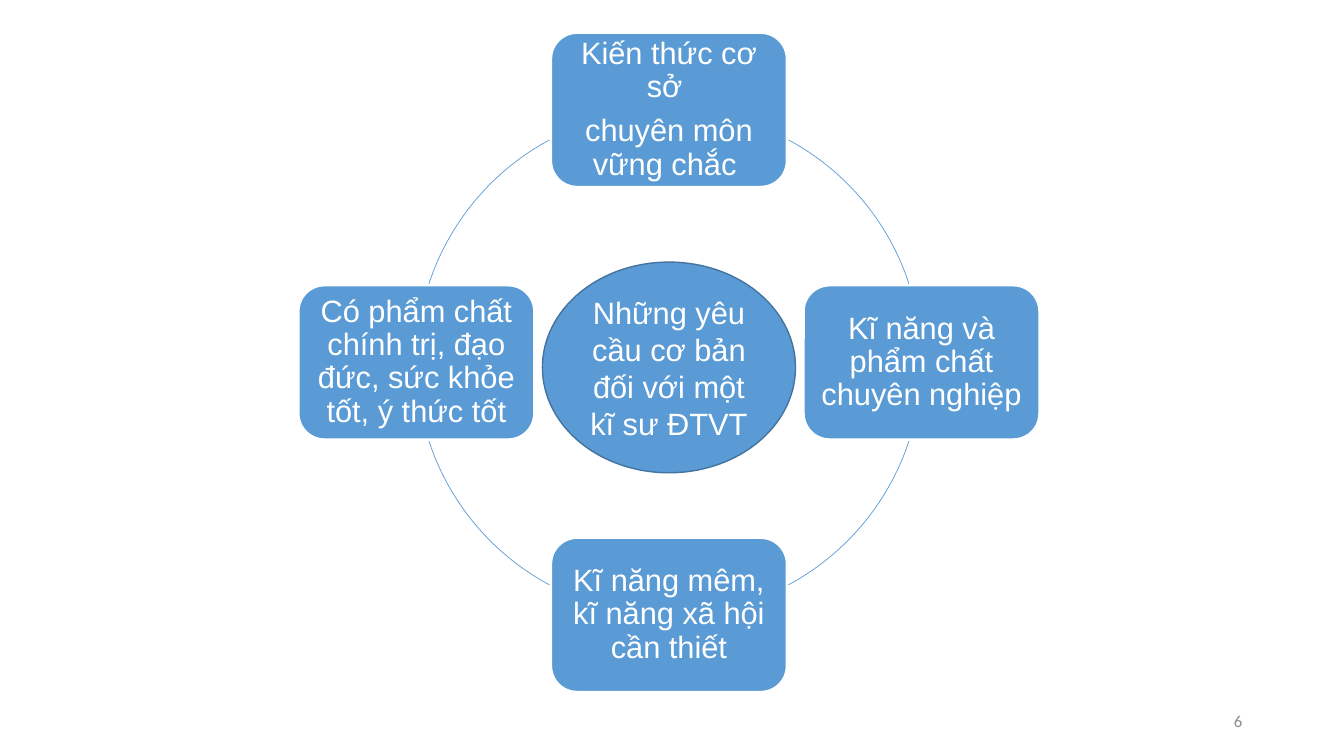
from math import atan2, degrees

from pptx import Presentation
from pptx.dml.color import RGBColor
from pptx.enum.shapes import MSO_SHAPE
from pptx.enum.text import MSO_ANCHOR, PP_ALIGN
from pptx.util import Inches, Pt

SLIDE_W, SLIDE_H = 13.33, 7.5
BLUE, DARK_BLUE, WHITE, GREY = "5B9BD5", "43739E", "FFFFFF", "8C8C8C"
CARD_W, CARD_H = 2.33, 1.52
GAP = 0.02  # between a card's edge and the ring

CORE = "Những yêu cầu cơ bản đối với một kĩ sư ĐTVT"
# Clockwise from the top: direction from the centre, paragraphs
REQUIREMENTS = [
    ((0, -1), ["Kiến thức cơ sở ", "chuyên môn vững chắc "]),
    ((1, 0), ["Kĩ năng và phẩm chất chuyên nghiệp"]),
    ((0, 1), ["Kĩ năng mêm, kĩ năng xã hội cần thiết"]),
    ((-1, 0), ["Có phẩm chất chính trị, đạo đức, sức khỏe tốt, ý thức tốt"]),
]


def color(hex_value):
    return RGBColor.from_string(hex_value)


def write(frame, texts, inset=None, font="Arial", size=22, ink=WHITE, **paragraph_format):
    """Fill a text frame with equally formatted paragraphs."""
    frame.word_wrap = True
    frame.vertical_anchor = MSO_ANCHOR.MIDDLE
    if inset is not None:
        for side in ("left", "right", "top", "bottom"):
            setattr(frame, f"margin_{side}", Inches(inset))
    for index, text in enumerate(texts):
        paragraph = frame.paragraphs[0] if index == 0 else frame.add_paragraph()
        paragraph.text = text
        for name, value in {"alignment": PP_ALIGN.CENTER, **paragraph_format}.items():
            setattr(paragraph, name, value)
        for name, value in {"name": font, "size": Pt(size)}.items():
            setattr(paragraph.font, name, value)
        paragraph.font.color.rgb = color(ink)


def add_centred(slide, preset, center, size, line, weight, fill=None):
    """Place a preset shape around its centre point."""
    (x, y), (w, h) = center, size
    shape = slide.shapes.add_shape(
        preset, Inches(x - w / 2), Inches(y - h / 2), Inches(w), Inches(h))
    shape.shadow.inherit = False
    if fill:
        shape.fill.solid()
        shape.fill.fore_color.rgb = color(fill)
    else:
        shape.fill.background()
    shape.line.color.rgb = color(line)
    shape.line.width = Pt(weight)
    return shape


def add_ring(slide, center, radius):
    """Draw the four arcs that join neighbouring cards."""
    # Where the ring leaves the top card and meets the right card
    x, y = CARD_W / 2 + GAP, radius - CARD_H / 2 - 0
    x = CARD_W / 2 + GAP
    y = (radius ** 2 - x ** 2) ** 0.5
    leave = degrees(atan2(x, y))
    y = CARD_H / 2 + GAP
    meet = degrees(atan2(y, (radius ** 2 - y ** 2) ** 0.5))
    right_arc = (270 + leave, 360 - meet)
    left_arc = (180 + meet, 270 - leave)
    for start, end in (right_arc, left_arc):
        # Each upper arc and its mirror below the centre
        for span in ((start, end), (360 - end, 360 - start)):
            arc = add_centred(slide, MSO_SHAPE.ARC, center, (2 * radius,) * 2, BLUE, 0.5)
            for index, angle in enumerate(span):
                arc.adjustments[index] = angle * 0.6  # 60000ths over 100000


def add_cycle(slide, left, top, width, height):
    """Ring of requirement cards around the core ellipse."""
    radius = (height - CARD_H) / 2
    cx, cy = left + width / 2, top + height / 2
    add_ring(slide, (cx, cy), radius)
    for (dx, dy), texts in REQUIREMENTS:
        card = add_centred(slide, MSO_SHAPE.ROUNDED_RECTANGLE,
                           (cx + dx * radius, cy + dy * radius),
                           (CARD_W, CARD_H), WHITE, 1, BLUE)
        write(card.text_frame, texts, 0.09, line_spacing=0.9, space_after=Pt(7.7))
    core = add_centred(slide, MSO_SHAPE.OVAL, (cx, cy + 0.05), (2.51, 2.09),
                       DARK_BLUE, 1, BLUE)
    write(core.text_frame, [CORE])


def add_page_number(slide, left, top, width, height):
    number = slide.shapes.add_textbox(*map(Inches, (left, top, width, height)))
    write(number.text_frame, ["6"], font="Calibri", size=12, ink=GREY,
          alignment=PP_ALIGN.RIGHT)


def main():
    deck = Presentation()
    deck.slide_width, deck.slide_height = Inches(SLIDE_W), Inches(SLIDE_H)
    slide = deck.slides.add_slide(deck.slide_layouts[6])
    add_cycle(slide, 2.96, 0.33, 7.35, 6.53)
    add_page_number(slide, 9.42, 6.95, 3, 0.4)
    deck.save("out.pptx")


if __name__ == "__main__":
    main()
